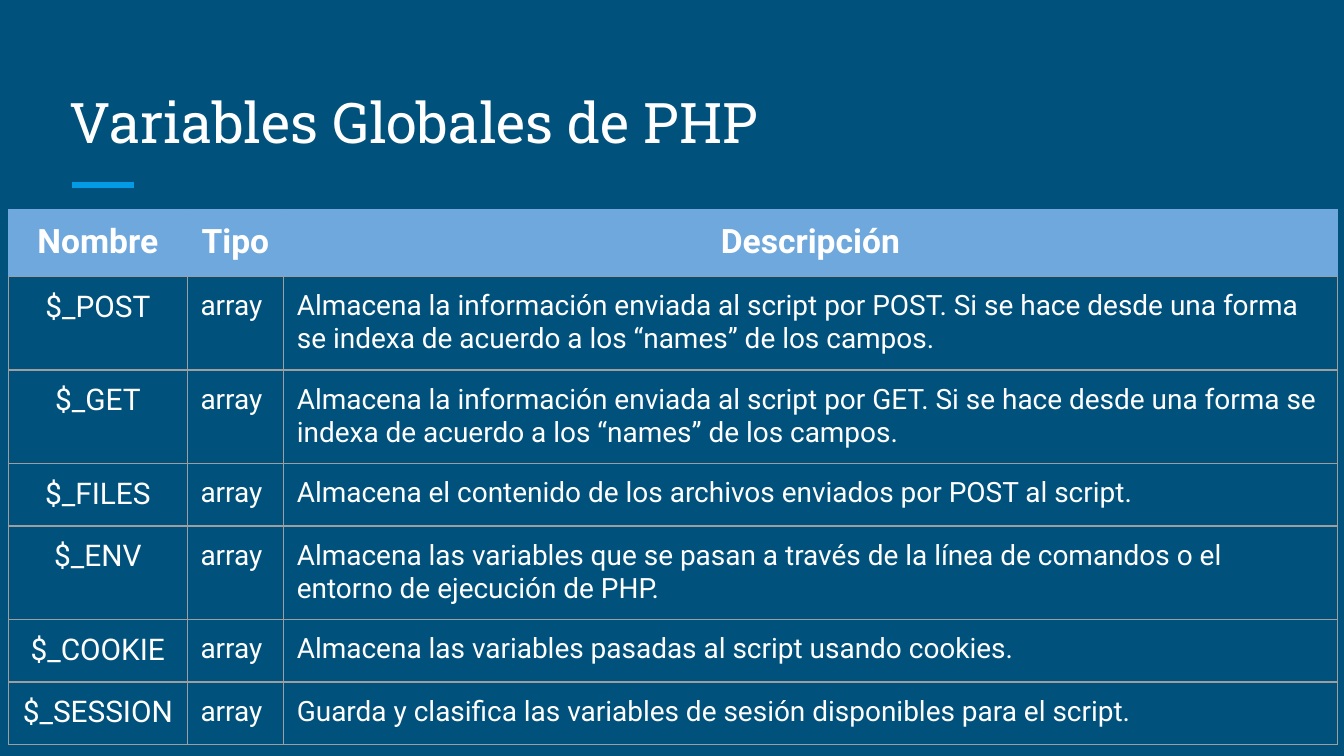
"""Build a slide with a table of PHP global variables."""
from lxml import etree
from pptx import Presentation
from pptx.dml.color import RGBColor
from pptx.enum.shapes import MSO_CONNECTOR
from pptx.enum.text import MSO_ANCHOR, PP_ALIGN
from pptx.oxml.ns import qn
from pptx.util import Cm, Pt

STRAIGHT = MSO_CONNECTOR.STRAIGHT
BOTTOM = MSO_ANCHOR.BOTTOM
LEFT, CENTER = PP_ALIGN.LEFT, PP_ALIGN.CENTER

NAVY = RGBColor(0x00, 0x51, 0x7C)
ACCENT = RGBColor(0x03, 0x9B, 0xE5)
HEADER = RGBColor(0x6F, 0xA8, 0xDC)
GREY = RGBColor(0x9E, 0x9E, 0x9E)
WHITE = RGBColor(0xFF, 0xFF, 0xFF)

INSET = Cm(0.25)
COL_WIDTHS = [3.38, 1.82, 19.91]
ROW_HEIGHTS = [1.26, 1.74, 1.74, 1.16, 1.74, 1.16, 1.16]
HEADINGS = ["Nombre", "Tipo", "Descripción"]
VARIABLES = [
    ("$_POST", "Almacena la información enviada al script por POST. Si se hace "
     "desde una forma se indexa de acuerdo a los “names” de los campos."),
    ("$_GET", "Almacena la información enviada al script por GET. Si se hace "
     "desde una forma se indexa de acuerdo a los “names” de los campos."),
    ("$_FILES", "Almacena el contenido de los archivos enviados por POST al script."),
    ("$_ENV", "Almacena las variables que se pasan a través de la línea de "
     "comandos o el entorno de ejecución de PHP."),
    ("$_COOKIE", "Almacena las variables pasadas al script usando cookies."),
    ("$_SESSION", "Guarda y clasifica las variables de sesión disponibles para el script."),
]


def add_run(p, text, font, size, bold=False):
    r = p.add_run()
    r.text = text
    r.font.name = font
    r.font.size = Pt(size)
    r.font.bold = bold
    r.font.color.rgb = WHITE


def add_border(cell, side, color):
    ln = etree.SubElement(cell._tc.get_or_add_tcPr(), qn(f"a:ln{side}"), w=str(Pt(0.75)))
    fill = etree.SubElement(ln, qn("a:solidFill"))
    etree.SubElement(fill, qn("a:srgbClr"), val=str(color))


prs = Presentation()
prs.slide_width, prs.slide_height = Cm(25.4), Cm(14.29)
s = prs.slides.add_slide(prs.slide_layouts[6])
s.background.fill.solid()
s.background.fill.fore_color.rgb = NAVY

line = s.shapes.add_connector(STRAIGHT, Cm(1.37), Cm(3.5), Cm(2.54), Cm(3.5))
line.line.color.rgb = ACCENT
line.line.width = Pt(3)
etree.SubElement(line._element.spPr, qn("a:effectLst"))

sp = s.shapes.add_textbox(Cm(1.07), Cm(1.27), Cm(23.24), Cm(1.91))
tf = sp.text_frame
tf.word_wrap = True
tf.vertical_anchor = BOTTOM
tf.margin_left = tf.margin_right = tf.margin_top = tf.margin_bottom = INSET
add_run(tf.paragraphs[0], "Variables Globales de PHP", "Roboto Slab", 30)

rows = [HEADINGS] + [(name, "array", text) for name, text in VARIABLES]
frame = s.shapes.add_table(len(rows), len(HEADINGS), Cm(0.16), Cm(3.96),
                           Cm(sum(COL_WIDTHS)), Cm(sum(ROW_HEIGHTS)))
table = frame.table
table.first_row = False
table.horz_banding = False
for column, width in zip(table.columns, COL_WIDTHS):
    column.width = Cm(width)

for i, (row, height) in enumerate(zip(rows, ROW_HEIGHTS)):
    table.rows[i].height = Cm(height)
    is_header = i == 0
    for j, text in enumerate(row):
        cell = table.cell(i, j)
        cell.margin_left = cell.margin_right = INSET
        cell.margin_top = cell.margin_bottom = INSET
        for side in "LRTB":
            add_border(cell, side, HEADER if is_header and side != "B" else GREY)
        if is_header:
            cell.fill.solid()
            cell.fill.fore_color.rgb = HEADER
        else:
            cell.fill.background()
        p = cell.text_frame.paragraphs[0]
        p.alignment = CENTER if is_header or j == 0 else LEFT
        size = 18 if is_header else 16 if j == 0 else 15
        add_run(p, text, "Roboto", size, is_header)

prs.save("out.pptx")
